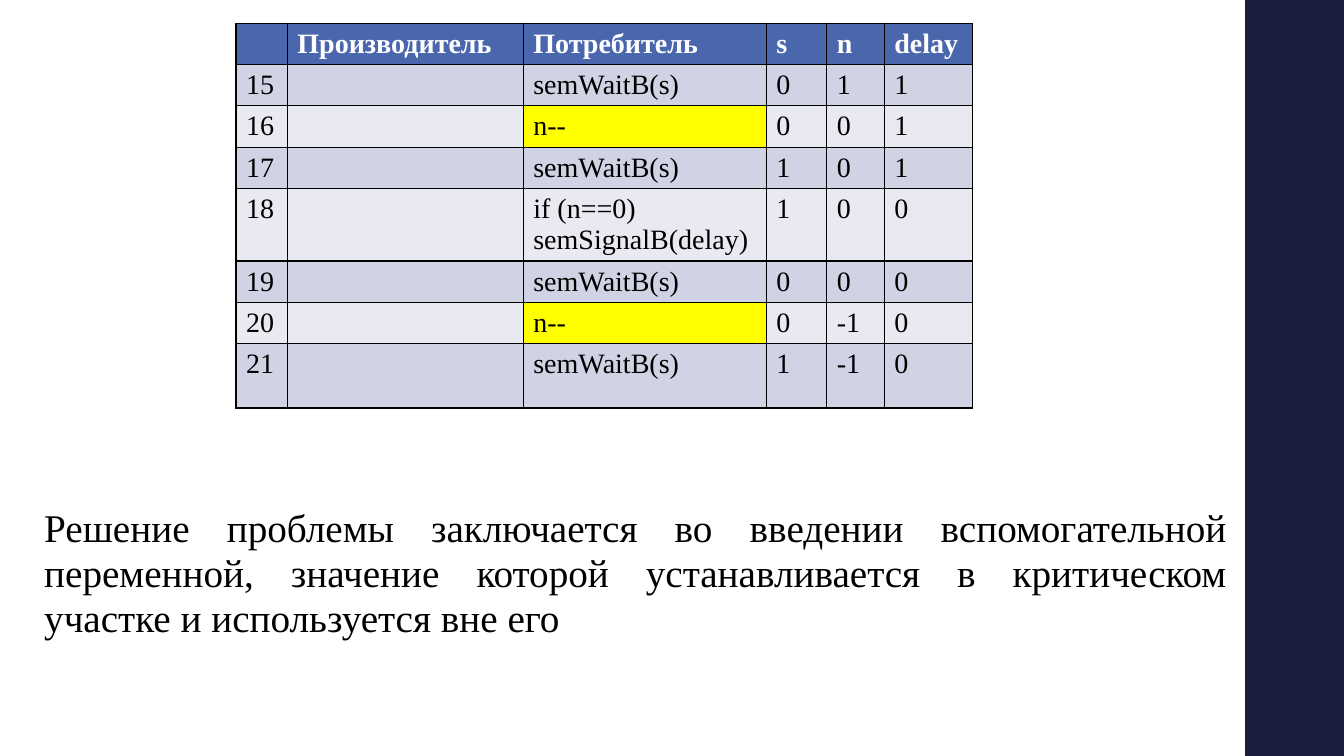
import pptx
import pptx.dml.color
import pptx.enum.shapes
import pptx.enum.text
import pptx.oxml.ns
import pptx.util
import lxml.etree

WIDTH, HEIGHT = 13.33, 7.5
FONT = "Times New Roman"
COLORS = {
    "sidebar": "1B1E3E",
    "header": "4A66AC",
    "odd": "D0D3E3",
    "even": "E9EAF1",
    "highlight": "FFFF00",
    "text": "000000",
    "header_text": "FFFFFF",
    "border": "000000",
}
COLUMN_WIDTHS = [0.51, 2.34, 2.41, 0.6, 0.57, 0.88]
ROW_HEIGHT, TWO_LINE_HEIGHT, LAST_HEIGHT = 0.41, 0.72, 0.64
HEADINGS = ["", "Производитель", "Потребитель", "s", "n", "delay"]
FIRST_STEP = 15
STEPS = [
    ("semWaitB(s)", 0, 1, 1),
    ("n--", 0, 0, 1),
    ("semWaitB(s)", 1, 0, 1),
    ("if (n==0) semSignalB(delay)", 1, 0, 0),
    ("semWaitB(s)", 0, 0, 0),
    ("n--", 0, -1, 0),
    ("semWaitB(s)", 1, -1, 0),
]
CONCLUSION = (
    "Решение проблемы заключается во введении вспомогательной переменной, "
    "значение которой устанавливается в критическом участке и используется вне его"
)


def inches(*lengths):
    return [pptx.util.Inches(length) for length in lengths]


def color(name):
    return pptx.dml.color.RGBColor.from_string(COLORS[name])


def set_font(para, size, color_name, bold=False):
    para.font.name = FONT
    para.font.size = pptx.util.Pt(size)
    para.font.bold = bold
    para.font.color.rgb = color(color_name)


def add_sidebar(page):
    bar = page.shapes.add_shape(
        pptx.enum.shapes.MSO_SHAPE.RECTANGLE, *inches(12.35, 0, WIDTH - 12.35, HEIGHT)
    )
    bar.shadow.inherit = False
    bar.fill.solid()
    bar.fill.fore_color.rgb = color("sidebar")
    bar.line.fill.background()


def add_borders(cell):
    properties = cell._tc.get_or_add_tcPr()
    qn = pptx.oxml.ns.qn
    for side in ("lnL", "lnR", "lnT", "lnB"):
        line = lxml.etree.SubElement(properties, qn(f"a:{side}"), w=str(pptx.util.Pt(1)))
        fill = lxml.etree.SubElement(line, qn("a:solidFill"))
        lxml.etree.SubElement(fill, qn("a:srgbClr"), val=COLORS["border"])


def fill_cell(cell, text, fill_name, is_header):
    add_borders(cell)
    cell.fill.solid()
    cell.fill.fore_color.rgb = color(fill_name)
    cell.text = text
    set_font(cell.text_frame.paragraphs[0], 20, "header_text" if is_header else "text", is_header)


def add_trace_table(page):
    rows = [HEADINGS]
    for number, (action, *values) in enumerate(STEPS, FIRST_STEP):
        rows.append([str(number), "", action, *map(str, values)])
    heights = [TWO_LINE_HEIGHT if row[2].startswith("if") else ROW_HEIGHT for row in rows]
    heights[-1] = LAST_HEIGHT
    frame = page.shapes.add_table(
        len(rows), len(HEADINGS), *inches(2.34, 0.23, sum(COLUMN_WIDTHS), sum(heights))
    )
    table = frame.table
    for column, width in zip(table.columns, COLUMN_WIDTHS):
        column.width = pptx.util.Inches(width)
    for row_index, (row, height) in enumerate(zip(rows, heights)):
        table.rows[row_index].height = pptx.util.Inches(height)
        band = "header" if row_index == 0 else "odd" if row_index % 2 else "even"
        for column_index, text in enumerate(row):
            fill_name = "highlight" if text == "n--" else band
            fill_cell(table.cell(row_index, column_index), text, fill_name, row_index == 0)


def add_conclusion(page):
    box = page.shapes.add_textbox(*inches(0.34, 4.98, 11.92, 1.71))
    box.text_frame.word_wrap = True
    para = box.text_frame.paragraphs[0]
    para.text = CONCLUSION
    para.alignment = pptx.enum.text.PP_ALIGN.JUSTIFY
    para.line_spacing = 0.95
    para.space_before = pptx.util.Pt(14)
    para.space_after = pptx.util.Pt(2)
    set_font(para, 28, "text")


def main():
    deck = pptx.Presentation()
    deck.slide_width, deck.slide_height = inches(WIDTH, HEIGHT)
    page = deck.slides.add_slide(deck.slide_layouts[6])
    add_sidebar(page)
    add_trace_table(page)
    add_conclusion(page)
    deck.save("out.pptx")


if __name__ == "__main__":
    main()
